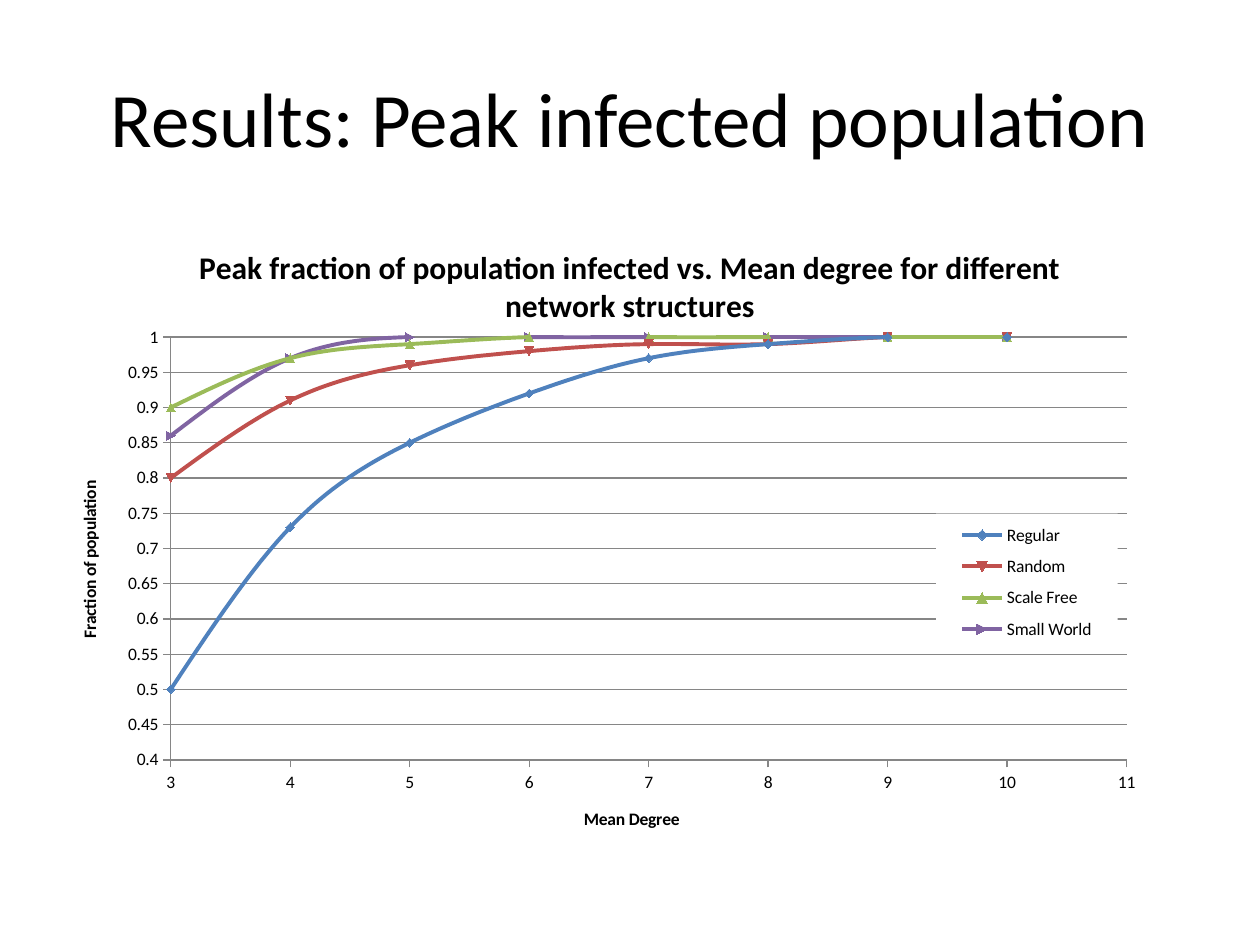
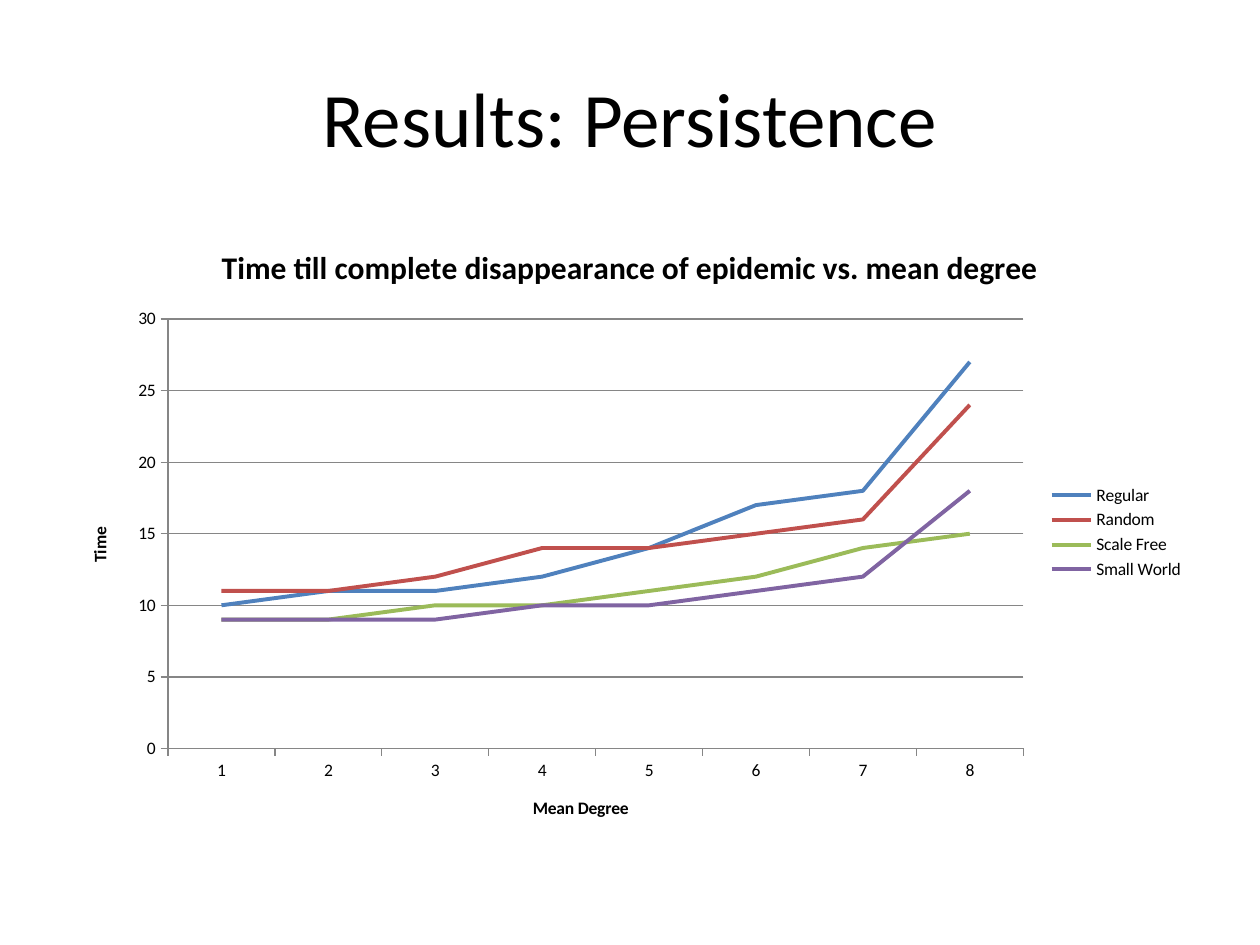
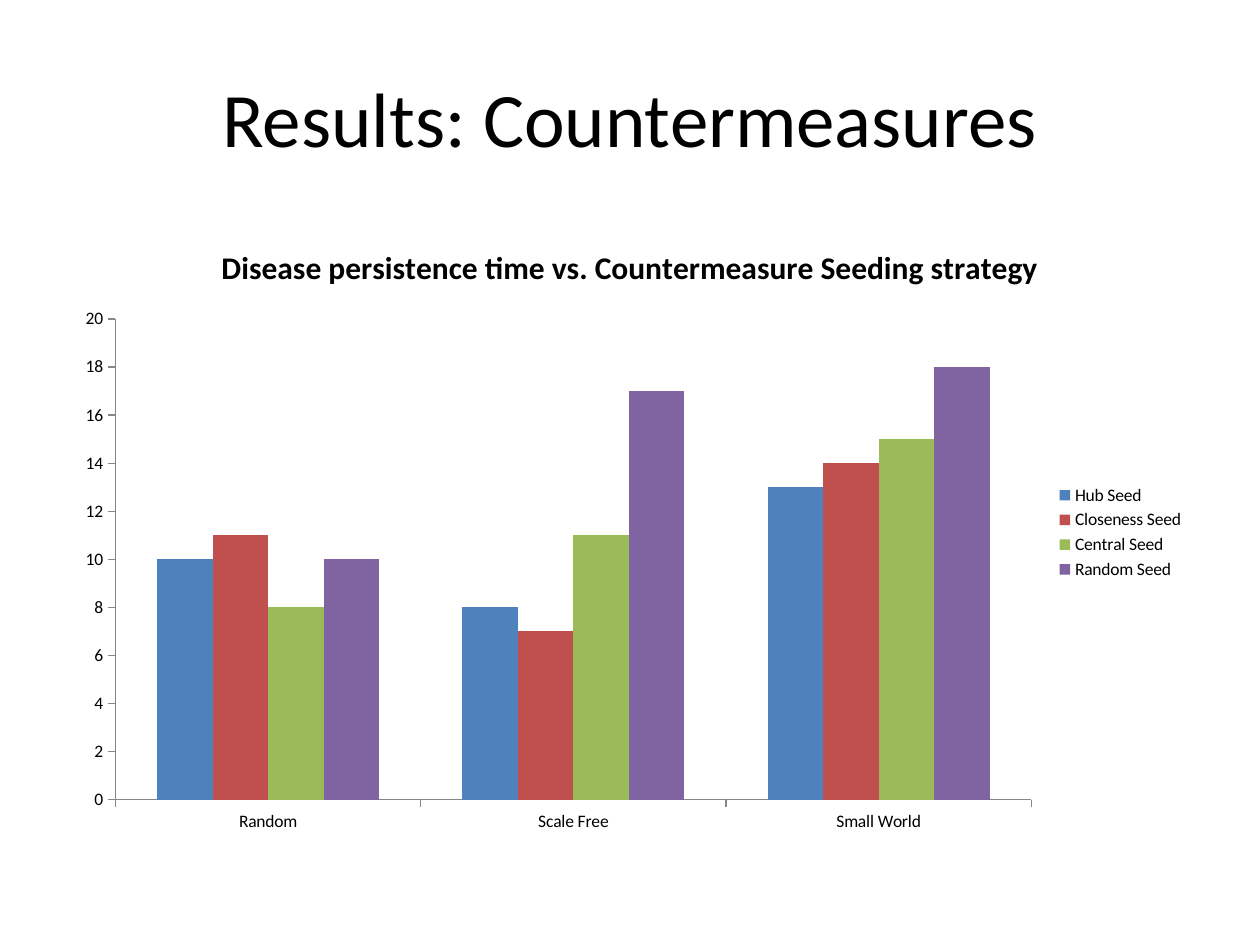
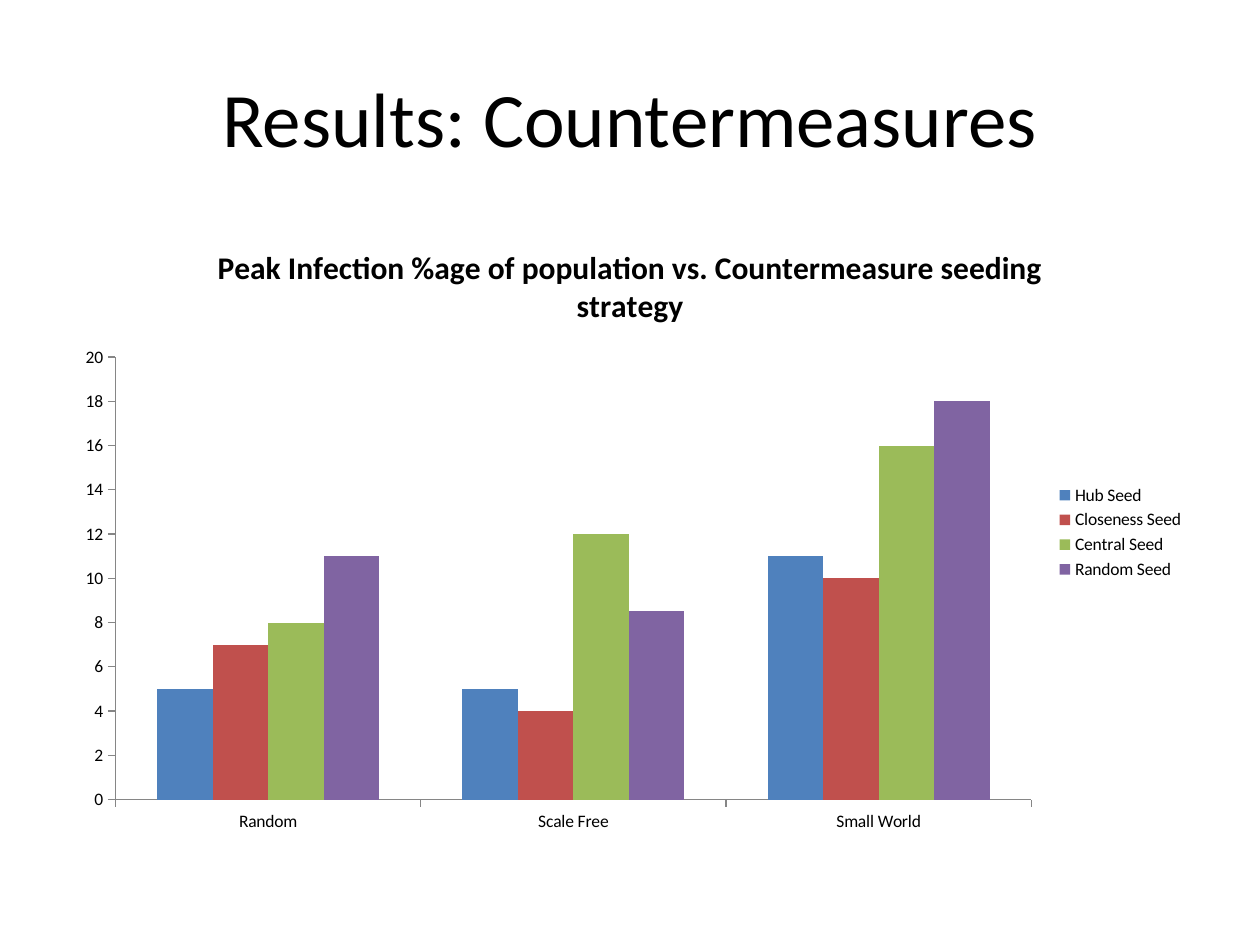
from pptx import Presentation
from pptx import util as u
from pptx.chart import data as cd
from pptx.dml.color import RGBColor
from pptx.enum import chart as ec, text
from pptx.oxml import parse_xml
from pptx.oxml.ns import nsdecls, qn

# Shared look
FONT = "Calibri"
BLACK = RGBColor(0, 0, 0)
GREY = RGBColor(0x86, 0x86, 0x86)
HUES = [RGBColor(0x4F, 0x81, 0xBD), RGBColor(0xC0, 0x50, 0x4D),
        RGBColor(0x9B, 0xBB, 0x59), RGBColor(0x80, 0x64, 0xA2)]
WIDE, HIGH = u.Inches(10), u.Inches(7.5)
HEAD = (0.05, 0.04, 0.9, 1 / 6)        # shares of the slide
BODY = (0.05, 0.7 / 3, 0.9, 0.66)

# Data
NETS = ["Regular", "Random", "Scale Free", "Small World"]
SEEDS = ["Hub Seed", "Closeness Seed", "Central Seed", "Random Seed"]
DEGREES = range(3, 11)
PEAKS = [[0.5, 0.73, 0.85, 0.92, 0.97, 0.99, 1, 1],
         [0.8, 0.91, 0.96, 0.98, 0.99, 0.99, 1, 1],
         [0.9, 0.97, 0.99, 1, 1, 1, 1, 1],
         [0.86, 0.97, 1, 1, 1, 1, 1, 1]]
TIMES = [[10, 11, 11, 12, 14, 17, 18, 27],
         [11, 11, 12, 14, 14, 15, 16, 24],
         [9, 9, 10, 10, 11, 12, 14, 15],
         [9, 9, 9, 10, 10, 11, 12, 18]]
SPANS = [[10, 8, 13], [11, 7, 14], [8, 11, 15], [10, 17, 18]]
RATES = [[5, 5, 11], [7, 4, 10], [8, 12, 16], [11, 8.5, 18]]


def place(box):
    left, top, width, height = box
    return (int(left * WIDE), int(top * HIGH),
            int(width * WIDE), int(height * HIGH))


def write(frame, words, size, bold=False):
    """Put one centred run into a text frame."""
    para = frame.paragraphs[0]
    para.alignment = text.PP_ALIGN.CENTER
    run = para.add_run()
    run.text = words
    font = run.font
    font.name, font.size, font.bold = FONT, u.Pt(size), bold
    font.color.rgb = BLACK


def add_slide(deck, title):
    slide = deck.slides.add_slide(deck.slide_layouts[6])
    frame = slide.shapes.add_textbox(*place(HEAD)).text_frame
    frame.word_wrap = True
    frame.vertical_anchor = text.MSO_ANCHOR.MIDDLE
    write(frame, title, 44)
    return slide


def style_line(line, color, width):
    line.color.rgb = color
    line.width = u.Pt(width)


def style_axis(axis, title, grid):
    axis.has_major_gridlines = grid
    if grid:
        style_line(axis.major_gridlines.format.line, GREY, 0.75)
    axis.major_tick_mark = ec.XL_TICK_MARK.OUTSIDE
    axis.minor_tick_mark = ec.XL_TICK_MARK.NONE
    style_line(axis.format.line, GREY, 0.75)
    axis.has_title = bool(title)
    if title:
        write(axis.axis_title.text_frame, title, 10, True)


def add_graph(slide, kind, data, title, across=None, up=None, grid=False):
    chart = slide.shapes.add_chart(kind, *place(BODY), data).chart
    chart.font.name, chart.font.size = FONT, u.Pt(10)
    chart.font.color.rgb = BLACK
    chart.has_title = True
    write(chart.chart_title.text_frame, title, 18, True)
    chart.chart_title.include_in_layout = False
    chart.has_legend = True
    chart.legend.position = ec.XL_LEGEND_POSITION.RIGHT
    chart.legend.include_in_layout = False
    style_axis(chart.category_axis, across, False)
    style_axis(chart.value_axis, up, grid)
    return chart


def list_data(cats, names, rows):
    data = cd.CategoryChartData()
    data.categories = cats
    for name, row in zip(names, rows):
        data.add_series(name, row)
    return data


def point_data(xs, names, rows):
    data = cd.XyChartData()
    for name, row in zip(names, rows):
        series = data.add_series(name)
        for x, y in zip(xs, row):
            series.add_data_point(x, y)
    return data


def color_lines(chart, smooth):
    for series, hue in zip(chart.plots[0].series, HUES):
        style_line(series.format.line, hue, 2.25)
        if smooth:
            for old in series._element.findall(qn("c:smooth")):
                series._element.remove(old)
            series._element.append(
                parse_xml(f'<c:smooth {nsdecls("c")} val="1"/>'))
        else:
            series.smooth = False


def make_layout(box, inner=False):
    """Manual layout in shares of the chart."""
    parts = '<c:layoutTarget val="inner"/>' if inner else ""
    parts += '<c:xMode val="edge"/><c:yMode val="edge"/>'
    parts += "".join(f'<c:{key} val="{share}"/>'
                     for key, share in zip("xywh", box))
    return parse_xml(f'<c:layout {nsdecls("c")}><c:manualLayout>{parts}'
                     '</c:manualLayout></c:layout>')


def fix_layout(chart, plot, key):
    """Pin the plot, and lay the legend over it on white."""
    area = chart._chartSpace.chart.plotArea
    legend = chart.legend._element
    for node in (area, legend):
        for old in node.findall(qn("c:layout")):
            node.remove(old)
    area.insert(0, make_layout(plot, True))
    over = legend.find(qn("c:overlay"))
    over.addprevious(make_layout(key))
    over.addnext(parse_xml(
        f'<c:spPr {nsdecls("c", "a")}><a:solidFill><a:srgbClr val="FFFFFF"/>'
        '</a:solidFill></c:spPr>'))


def add_peaks(deck):
    slide = add_slide(deck, "Results: Peak infected population")
    chart = add_graph(
        slide, ec.XL_CHART_TYPE.XY_SCATTER_SMOOTH,
        point_data(DEGREES, NETS, PEAKS),
        "Peak fraction of population infected vs. Mean degree "
        "for different network structures",
        "Mean Degree", "Fraction of population", True)
    color_lines(chart, True)
    chart.category_axis.minimum_scale = 3
    axis = chart.value_axis
    axis.minimum_scale, axis.maximum_scale, axis.major_unit = 0.4, 1, 0.05
    fix_layout(chart, (0.095, 0.187, 0.843, 0.678), (0.77, 0.47, 0.16, 0.22))


def add_times(deck):
    slide = add_slide(deck, "Results: Persistence")
    chart = add_graph(
        slide, ec.XL_CHART_TYPE.LINE,
        list_data([str(n) for n in range(1, 9)], NETS, TIMES),
        "Time till complete disappearance of epidemic vs. mean degree",
        "Mean Degree", "Time", True)
    color_lines(chart, False)


def add_bars(deck, title, rows):
    slide = add_slide(deck, "Results: Countermeasures")
    chart = add_graph(slide, ec.XL_CHART_TYPE.COLUMN_CLUSTERED,
                      list_data(NETS[1:], SEEDS, rows), title)
    plot = chart.plots[0]
    plot.gap_width = 150
    plot.vary_by_categories = False
    for series, hue in zip(plot.series, HUES):
        series.format.fill.solid()
        series.format.fill.fore_color.rgb = hue


def main():
    deck = Presentation()
    deck.slide_width, deck.slide_height = WIDE, HIGH
    add_peaks(deck)
    add_times(deck)
    add_bars(deck, "Disease persistence time vs. "
                   "Countermeasure Seeding strategy", SPANS)
    add_bars(deck, "Peak Infection %age of population vs. "
                   "Countermeasure seeding strategy", RATES)
    deck.save("out.pptx")


if __name__ == "__main__":
    main()
